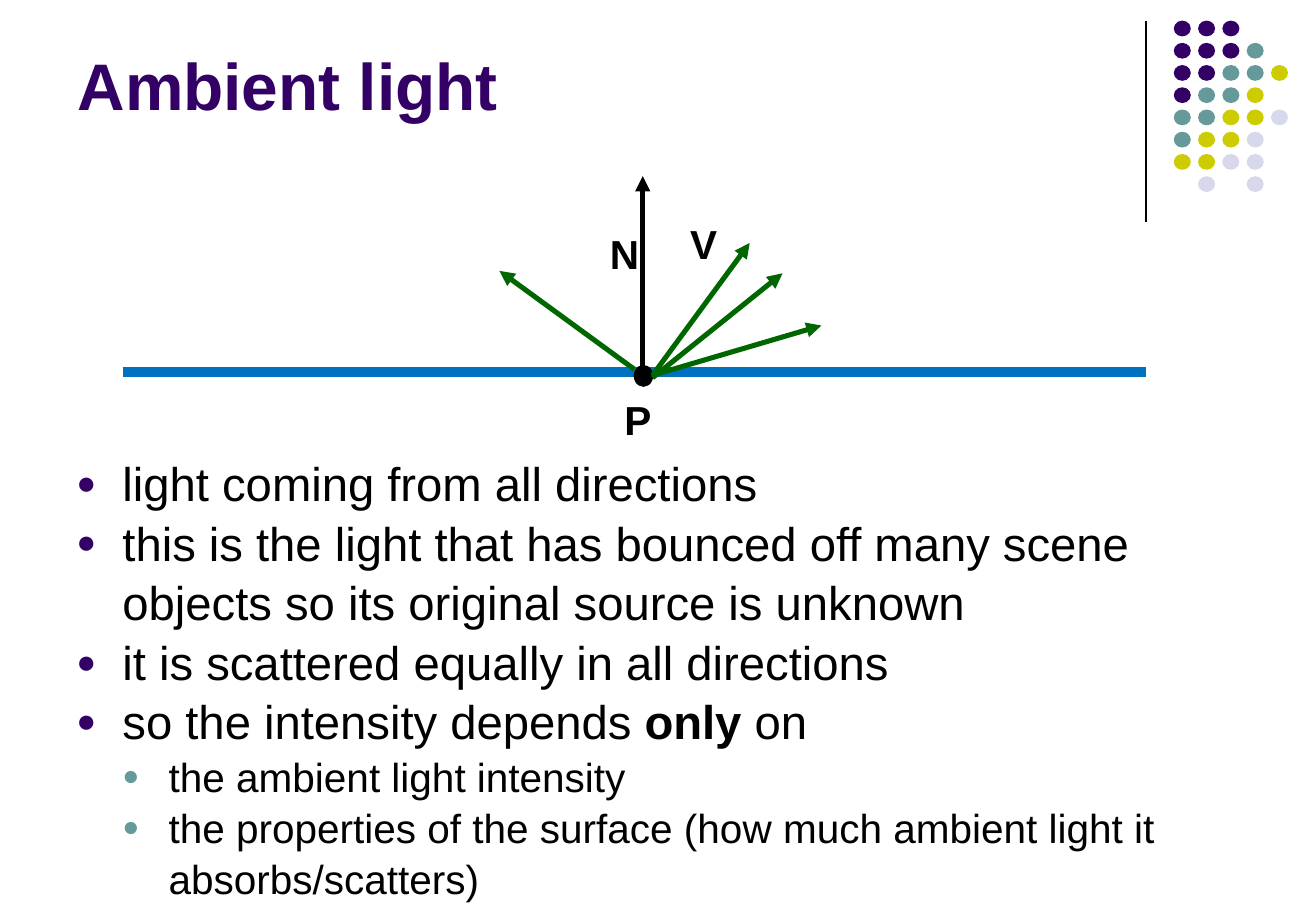
"""Builds the ambient light slide with its ray diagram and dot ornament."""
import pptx
import pptx.util
import pptx.dml.color
import pptx.enum.shapes
import pptx.enum.text
import pptx.oxml
import pptx.oxml.ns
import lxml.etree

Inches = pptx.util.Inches
Pt = pptx.util.Pt

FONT = "Arial"
PURPLE, TEAL, OLIVE, LILAC = "330066", "669999", "CCCC00", "D8D8EC"
BLACK, BLUE, GREEN = "000000", "0070C0", "006600"

TITLE = "Ambient light"
BULLETS = [
    (0, [("light coming from all directions", False)]),
    (0, [("this is the light that has bounced off many scene objects "
          "so its original source is unknown", False)]),
    (0, [("it is scattered equally in all directions", False)]),
    (0, [("so the intensity depends ", False), ("only", True), (" on", False)]),
    (1, [("the ambient light intensity", False)]),
    (1, [("the properties of the surface (how much ambient light it "
          "absorbs/scatters)", False)]),
]
LEVELS = [(28, PURPLE), (24, TEAL)]
INDENT = 0.38

DOT_ROWS = ["PPP", "PPPT", "PPTTO", "PTTO", "TTOOL", "TOOL", "OOLL", " L L"]
DOT_COLOURS = {"P": PURPLE, "T": TEAL, "O": OLIVE, "L": LILAC}
DOT_LEFT, DOT_TOP = 9.66, 0.17
DOT_STEP_X, DOT_STEP_Y = 0.2, 0.183

DIVIDER = ((9.43, 0.17), (9.43, 1.83))
SURFACE = ((1.01, 3.06), (9.43, 3.06))
NORMAL = ((5.29, 3.09), (5.29, 1.45))
RAYS = [
    ((5.37, 3.09), (6.17, 2)),
    ((5.37, 3.11), (6.44, 2.25)),
    ((5.37, 3.09), (6.76, 2.68)),
    ((5.22, 3.04), (4.11, 2.23)),
]
LABELS = [("P", 5.04, 3.2), ("V", 5.58, 1.75), ("N", 4.92, 1.84)]


def colour(value):
    return pptx.dml.color.RGBColor.from_string(value)


def add_element(parent, tag, **attributes):
    element = lxml.etree.SubElement(parent, pptx.oxml.ns.qn(tag))
    for name, value in attributes.items():
        element.set(name, value)


def add_line(page, ends, value, width, arrow=False):
    (x1, y1), (x2, y2) = ends
    line = page.shapes.add_connector(
        pptx.enum.shapes.MSO_CONNECTOR.STRAIGHT,
        Inches(x1), Inches(y1), Inches(x2), Inches(y2))
    line.line.color.rgb = colour(value)
    line.line.width = Pt(width)
    if arrow:
        add_element(line.line._get_or_add_ln(), "a:tailEnd", type="triangle")
    add_element(line._element.spPr, "a:effectLst")


def add_dot(page, left, top, width, height, value):
    dot = page.shapes.add_shape(
        pptx.enum.shapes.MSO_SHAPE.OVAL,
        Inches(left), Inches(top), Inches(width), Inches(height))
    dot.shadow.inherit = False
    dot.fill.solid()
    dot.fill.fore_color.rgb = colour(value)
    dot.line.fill.background()
    return dot


def add_box(page, left, top, width, height):
    box = page.shapes.add_textbox(
        Inches(left), Inches(top), Inches(width), Inches(height))
    box.text_frame.word_wrap = True
    return box.text_frame


def add_span(para, text, size, value, bold):
    span = para.add_run()
    span.text = text
    span.font.name = FONT
    span.font.size = Pt(size)
    span.font.bold = bold
    span.font.color.rgb = colour(value)


def add_bullet(para, level, value):
    properties = para._p.get_or_add_pPr()
    properties.set("marL", str(Inches(INDENT * (level + 1))))
    properties.set("indent", str(-Inches(INDENT)))
    add_element(properties, "a:buClr")
    add_element(properties[-1], "a:srgbClr", val=value)
    add_element(properties, "a:buSzPct", val="70000")
    add_element(properties, "a:buFont", typeface=FONT)
    add_element(properties, "a:buChar", char="●")


def add_ornament(page):
    add_line(page, DIVIDER, BLACK, 0.75)
    for row, letters in enumerate(DOT_ROWS):
        for column, letter in enumerate(letters):
            if letter in DOT_COLOURS:
                add_dot(page, DOT_LEFT + column * DOT_STEP_X,
                        DOT_TOP + row * DOT_STEP_Y, 0.14, 0.13,
                        DOT_COLOURS[letter])


def add_words(page):
    title = add_box(page, 0.54, 0.13, 8.94, 0.94)
    title.vertical_anchor = pptx.enum.text.MSO_ANCHOR.BOTTOM
    add_span(title.paragraphs[0], TITLE, 39, PURPLE, True)

    body = add_box(page, 0.53, 3.67, 10.07, 3.62)
    for index, (level, spans) in enumerate(BULLETS):
        para = body.add_paragraph() if index else body.paragraphs[0]
        size, bullet_colour = LEVELS[level]
        para.level = level
        para.line_spacing = 1.05
        add_bullet(para, level, bullet_colour)
        for text, bold in spans:
            add_span(para, text, size, BLACK, bold)


def add_diagram(page):
    add_line(page, SURFACE, BLUE, 6)
    point = add_dot(page, 5.22, 3.01, 0.15, 0.17, BLACK)
    point.line.color.rgb = colour(BLACK)
    point.line.width = Pt(0.75)
    add_line(page, NORMAL, BLACK, 3, arrow=True)
    for ray in RAYS:
        add_line(page, ray, GREEN, 3, arrow=True)
    for text, left, top in LABELS:
        label = add_box(page, left, top, 0.59, 0.5)
        add_span(label.paragraphs[0], text, 24, BLACK, True)


def main():
    deck = pptx.Presentation()
    deck.slide_width = Inches(10.83)
    deck.slide_height = Inches(7.5)
    page = deck.slides.add_slide(deck.slide_layouts[6])
    add_ornament(page)
    add_words(page)
    add_diagram(page)
    deck.save("out.pptx")


if __name__ == "__main__":
    main()
